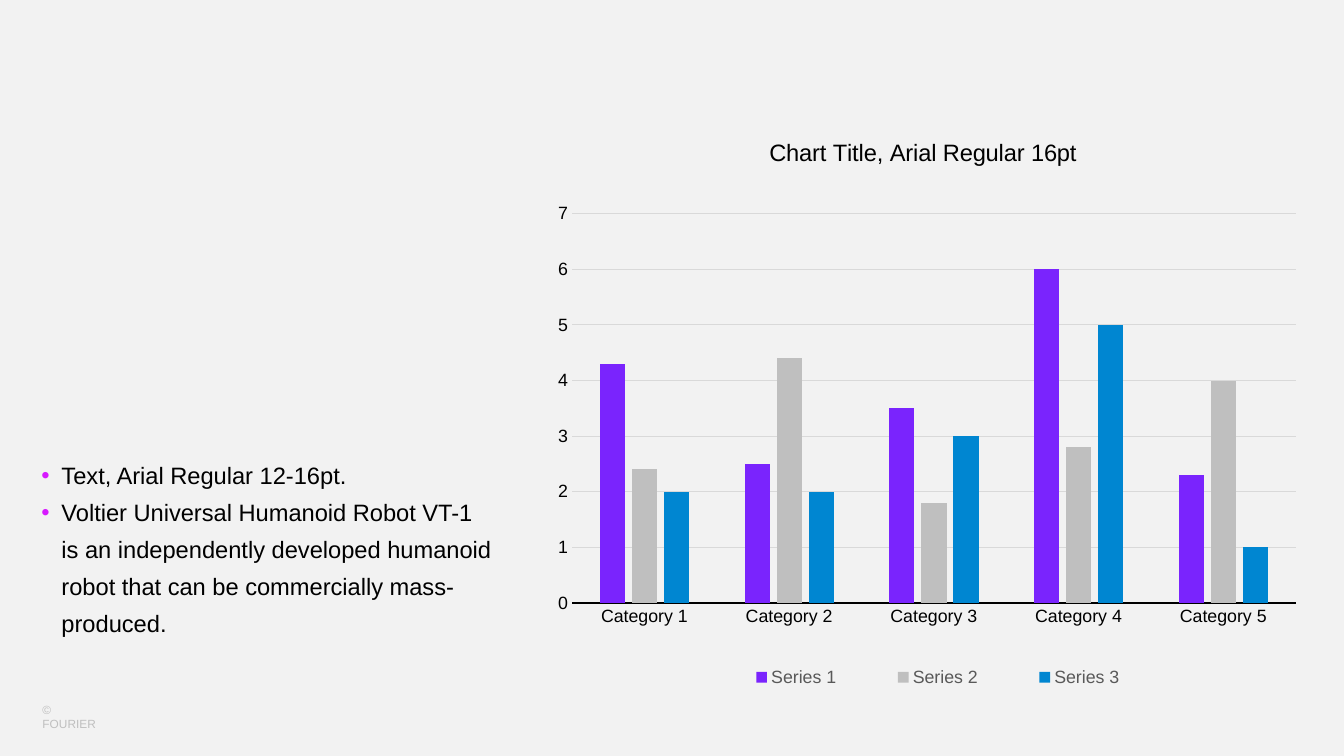
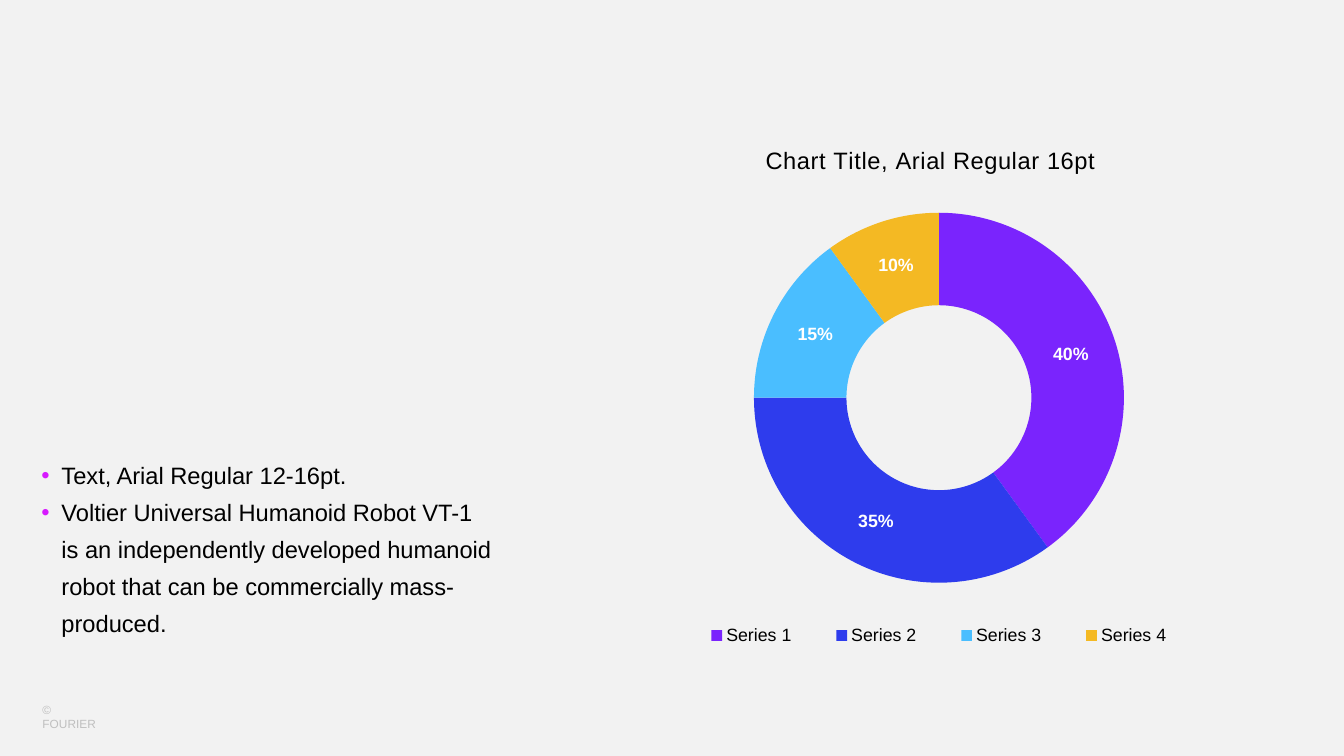
from dataclasses import dataclass

from lxml import etree
from pptx import Presentation
from pptx.chart.data import CategoryChartData
from pptx.dml.color import RGBColor
from pptx.enum.chart import XL_CHART_TYPE, XL_LEGEND_POSITION, XL_TICK_MARK
from pptx.oxml.ns import qn
from pptx.util import Emu, Pt

COLUMN, DOUGHNUT = XL_CHART_TYPE.COLUMN_CLUSTERED, XL_CHART_TYPE.DOUGHNUT
LEGEND_BOTTOM, LEGEND_TOP = XL_LEGEND_POSITION.BOTTOM, XL_LEGEND_POSITION.TOP
NO_TICK = XL_TICK_MARK.NONE
EMU_PER_PX = 8572.5
BLANK_LAYOUT = 6


@dataclass(frozen=True)
class Theme:
    font: str = "Arial"
    background: str = "F2F2F2"
    text: str = "000000"
    muted: str = "595959"
    footer: str = "BFBFBF"
    grid: str = "D9D9D9"
    bullet: str = "D71AFF"
    label: str = "FFFFFF"
    columns: tuple = ("7A24FD", "BFBFBF", "0086D1")
    ring: tuple = ("7A24FD", "2E3CED", "4ABEFF", "F4B923")
    body_size: int = 16
    chart_size: int = 12
    footer_size: int = 8


CHART_TITLE = "Chart Title, Arial Regular 16pt"
BULLETS = (
    "Text, Arial Regular 12-16pt.",
    "Voltier Universal Humanoid Robot VT-1 is an independently developed "
    "humanoid robot that can be commercially mass-produced.",
)


def px(n):
    return Emu(round(n * EMU_PER_PX))


def rgb(color):
    return RGBColor.from_string(color)


def paint(fill, color):
    fill.solid()
    fill.fore_color.rgb = rgb(color)


def set_layout(element, index, x, y, w=None, h=None, inner=False):
    """Place a chart part by fractions of the chart area."""
    for old in element.findall(qn("c:layout")):
        element.remove(old)
    layout = etree.Element(qn("c:layout"))
    manual = etree.SubElement(layout, qn("c:manualLayout"))
    values = [("layoutTarget", "inner")] if inner else []
    values += [("xMode", "edge"), ("yMode", "edge"), ("x", x), ("y", y)]
    if w is not None:
        values += [("w", w), ("h", h)]
    for tag, value in values:
        etree.SubElement(manual, qn(f"c:{tag}")).set("val", str(value))
    element.insert(index, layout)


class Deck:
    def __init__(self, theme):
        self.theme = theme
        self.prs = Presentation()
        self.prs.slide_width, self.prs.slide_height = px(1344), px(756)
        paint(self.prs.slide_master.background.fill, theme.background)
        self.slide = None

    def style(self, font, size, color, bold=False):
        font.name, font.size, font.bold = self.theme.font, Pt(size), bold
        font.color.rgb = rgb(color)

    # Slide with the shared footer and bullet text
    def add_slide(self):
        layout = self.prs.slide_layouts[BLANK_LAYOUT]
        self.slide = self.prs.slides.add_slide(layout)
        t = self.theme
        self.text(32, 697, 86, 25, ["© FOURIER"], t.footer_size, t.footer, wrap=False)
        for p in self.text(31, 447, 475, 185, BULLETS, t.body_size, t.text):
            p.line_spacing = 1.3
            self.bullet(p)

    def text(self, x, y, w, h, lines, size, color, wrap=True):
        tf = self.slide.shapes.add_textbox(px(x), px(y), px(w), px(h)).text_frame
        tf.word_wrap = wrap
        tf.text = "\n".join(lines)
        for p in tf.paragraphs:
            self.style(p.runs[0].font, size, color)
        return tf.paragraphs

    def bullet(self, p):
        pPr = p._p.get_or_add_pPr()
        pPr.set("marL", str(px(20)))
        pPr.set("indent", str(-px(20)))
        color = etree.SubElement(pPr, qn("a:buClr"))
        etree.SubElement(color, qn("a:srgbClr")).set("val", self.theme.bullet)
        etree.SubElement(pPr, qn("a:buFont")).set("typeface", self.theme.font)
        etree.SubElement(pPr, qn("a:buChar")).set("char", "•")

    # Chart with title, plot and legend placed by fractions
    def chart(self, kind, box, categories, series, title_at, plot_at,
              legend_at, legend_side, legend_color):
        t = self.theme
        data = CategoryChartData()
        data.categories = categories
        for name, values in series:
            data.add_series(name, values)
        chart = self.slide.shapes.add_chart(kind, *map(px, box), data).chart
        self.style(chart.font, t.chart_size, t.text)

        chart.has_title = True
        tf = chart.chart_title.text_frame
        tf.text = CHART_TITLE
        r = tf.paragraphs[0].runs[0]
        self.style(r.font, t.body_size, t.text)

        chart.has_legend = True
        chart.legend.position = legend_side
        chart.legend.include_in_layout = False
        self.style(chart.legend.font, t.chart_size, legend_color)

        root = chart.element.find(qn("c:chart"))
        set_layout(root.find(qn("c:title")), 1, *title_at)
        set_layout(root.find(qn("c:plotArea")), 0, *plot_at, inner=True)
        set_layout(root.find(qn("c:legend")), 1, *legend_at)
        return chart

    def column_chart(self, box, categories, series, **places):
        t = self.theme
        chart = self.chart(COLUMN, box, categories, series,
                           legend_side=LEGEND_BOTTOM, legend_color=t.muted, **places)
        plot = chart.plots[0]
        plot.gap_width, plot.overlap, plot.vary_by_categories = 219, -27, False
        for s, color in zip(plot.series, t.columns):
            paint(s.format.fill, color)

        for axis in (chart.category_axis, chart.value_axis):
            axis.major_tick_mark = axis.minor_tick_mark = NO_TICK
            self.style(axis.tick_labels.font, t.chart_size, t.text)
        line = chart.category_axis.format.line
        line.width, line.color.rgb = Pt(0.75), rgb(t.text)

        axis = chart.value_axis
        axis.minimum_scale, axis.maximum_scale, axis.major_unit = 0, 7, 1
        axis.format.line.fill.background()
        axis.has_major_gridlines = True
        line = axis.major_gridlines.format.line
        line.width, line.color.rgb = Pt(0.75), rgb(t.grid)

    def ring_chart(self, box, categories, values, **places):
        t = self.theme
        chart = self.chart(DOUGHNUT, box, categories, [(CHART_TITLE, values)],
                           legend_side=LEGEND_TOP, legend_color=t.text, **places)
        r = chart.chart_title.text_frame.paragraphs[0].runs[0]
        r.font._element.set("spc", "50")
        plot = chart.plots[0]
        plot.vary_by_categories = True
        chart.element.find(".//" + qn("c:holeSize")).set("val", "65")
        s = plot.series[0]
        for i, color in enumerate(t.ring):
            point = s.points[i].format
            paint(point.fill, color)
            point.line.fill.background()
        labels = s.data_labels
        labels.show_value, labels.show_percentage = False, True
        labels.number_format, labels.number_format_is_linked = "0%", False
        self.style(labels.font, t.chart_size, t.label, bold=True)


def main():
    deck = Deck(Theme())

    # Column chart
    deck.add_slide()
    deck.column_chart(
        (540, 84, 804, 618),
        [f"Category {n}" for n in range(1, 6)],
        [("Series 1", (4.3, 2.5, 3.5, 6, 2.3)),
         ("Series 2", (2.4, 4.4, 1.8, 2.8, 4)),
         ("Series 3", (2, 2, 3, 5, 1))],
        title_at=(0.28, 0.08),
        plot_at=(0.04, 0.21, 0.9, 0.63),
        legend_at=(0.2, 0.93, 0.59, 0.06),
    )

    # Doughnut chart
    deck.add_slide()
    deck.ring_chart(
        (569, 84, 740, 634),
        [f"Series {n}" for n in range(1, 5)],
        (40, 35, 15, 10),
        title_at=(0.26, 0.09),
        plot_at=(0.25, 0.2, 0.5, 0.59),
        legend_at=(0.14, 0.84, 0.72, 0.06),
    )

    deck.prs.save("out.pptx")


if __name__ == "__main__":
    main()
